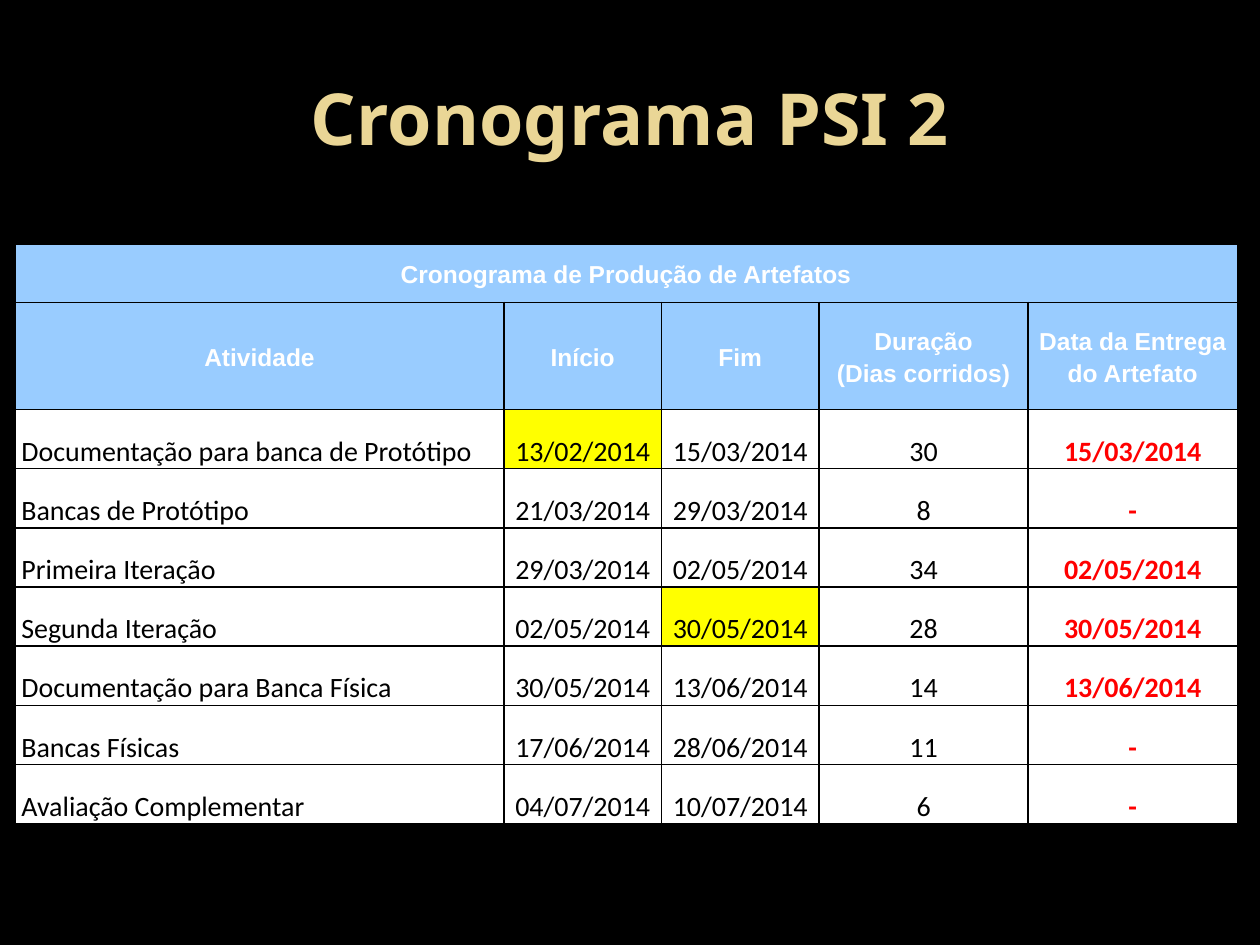
import dataclasses

import lxml.etree
import pptx
import pptx.dml.color
import pptx.enum.text
import pptx.oxml.ns
import pptx.util

ALIGN = pptx.enum.text.PP_ALIGN
ANCHOR = pptx.enum.text.MSO_ANCHOR


@dataclasses.dataclass(frozen=True)
class Text:
    font: str
    size: int
    color: str
    bold: bool = False


@dataclasses.dataclass(frozen=True)
class Theme:
    background: str = "000000"
    border: str = "000000"
    header_fill: str = "99CCFF"
    body_fill: str = "FFFFFF"
    highlight: str = "FFFF00"
    title: Text = Text("Noto Sans", 41, "EAD696", True)
    header: Text = Text("Arial", 14, "FFFFFF", True)
    body: Text = Text("Calibri", 16, "000000")
    delivery: Text = Text("Calibri", 16, "FF0000", True)


class Deck:
    """Builds slides in one theme, with boxes given as shares of the slide."""

    def __init__(self, theme, width, height):
        self.theme = theme
        self.prs = pptx.Presentation()
        self.prs.slide_width = pptx.util.Inches(width)
        self.prs.slide_height = pptx.util.Inches(height)

    def add_slide(self):
        self.slide = self.prs.slides.add_slide(self.prs.slide_layouts[6])
        self.fill(self.slide.background, self.theme.background)

    def box(self, x, y, w, h):
        width, height = self.prs.slide_width, self.prs.slide_height
        return [round(v) for v in (x * width, y * height, w * width, h * height)]

    def fill(self, target, color):
        target.fill.solid()
        target.fill.fore_color.rgb = pptx.dml.color.RGBColor.from_string(color)

    def set_text(self, tf, text, style, align=ALIGN.CENTER, spacing=1.0):
        tf.word_wrap = True
        p = tf.paragraphs[0]
        p.text = text
        p.alignment = align
        p.line_spacing = spacing
        p.font.name = style.font
        p.font.size = pptx.util.Pt(style.size)
        p.font.bold = style.bold
        p.font.color.rgb = pptx.dml.color.RGBColor.from_string(style.color)

    def title(self, text, x, y, w, h):
        tf = self.slide.shapes.add_textbox(*self.box(x, y, w, h)).text_frame
        tf.vertical_anchor = ANCHOR.MIDDLE
        self.set_text(tf, text, self.theme.title)

    def table(self, x, y, columns, rows):
        box = self.box(x, y, sum(columns), sum(rows))
        table = self.slide.shapes.add_table(len(rows), len(columns), *box).table
        table.first_row = table.horz_banding = False
        for column, share in zip(table.columns, columns):
            column.width = round(share * self.prs.slide_width)
        for row, share in zip(table.rows, rows):
            row.height = round(share * self.prs.slide_height)
        for cell in table.iter_cells():
            self.border(cell)
        return table

    def border(self, cell):
        qn = pptx.oxml.ns.qn
        tc_pr = cell._tc.get_or_add_tcPr()
        for side in ("a:lnL", "a:lnR", "a:lnT", "a:lnB"):
            ln = lxml.etree.SubElement(tc_pr, qn(side), w=str(pptx.util.Pt(1)))
            solid = lxml.etree.SubElement(ln, qn("a:solidFill"))
            lxml.etree.SubElement(solid, qn("a:srgbClr"), val=self.theme.border)

    def cell(self, cell, text, style, fill, align=ALIGN.CENTER, anchor=ANCHOR.BOTTOM):
        cell.margin_left = cell.margin_right = pptx.util.Inches(0.05)
        cell.margin_top = cell.margin_bottom = 0
        cell.vertical_anchor = anchor
        self.fill(cell, fill)
        self.set_text(cell.text_frame, text, style, align, 1.15)


HEADERS = ["Atividade", "Início", "Fim", "Duração\v(Dias corridos)",
           "Data da Entrega do Artefato"]
ACTIVITIES = [
    ("Documentação para banca de Protótipo", "13/02/2014", "15/03/2014", "30", "15/03/2014"),
    ("Bancas de Protótipo", "21/03/2014", "29/03/2014", "8", "-"),
    ("Primeira Iteração", "29/03/2014", "02/05/2014", "34", "02/05/2014"),
    ("Segunda Iteração", "02/05/2014", "30/05/2014", "28", "30/05/2014"),
    ("Documentação para Banca Física", "30/05/2014", "13/06/2014", "14", "13/06/2014"),
    ("Bancas Físicas", "17/06/2014", "28/06/2014", "11", "-"),
    ("Avaliação Complementar", "04/07/2014", "10/07/2014", "6", "-"),
]
HIGHLIGHTED = {(0, 1), (3, 2)}
COLUMNS = [v / 10 for v in (3.88, 1.25, 1.25, 1.66, 1.66)]
ROWS = [v / 7.5 for v in [0.46, 0.85] + [0.47] * len(ACTIVITIES)]

theme = Theme()
deck = Deck(theme, 10, 7.5)
deck.add_slide()
deck.title("Cronograma PSI 2", 0.05, 0.04, 0.9, 1 / 6)

table = deck.table(0.012, 1.94 / 7.5, COLUMNS, ROWS)
table.cell(0, 0).merge(table.cell(0, len(COLUMNS) - 1))
deck.cell(table.cell(0, 0), "Cronograma de Produção de Artefatos", theme.header,
          theme.header_fill, anchor=ANCHOR.MIDDLE)
for c, header in enumerate(HEADERS):
    deck.cell(table.cell(1, c), header, theme.header, theme.header_fill,
              anchor=ANCHOR.MIDDLE)
for r, activity in enumerate(ACTIVITIES):
    for c, text in enumerate(activity):
        style = theme.delivery if c == len(COLUMNS) - 1 else theme.body
        fill = theme.highlight if (r, c) in HIGHLIGHTED else theme.body_fill
        align = ALIGN.CENTER if c else ALIGN.LEFT
        deck.cell(table.cell(r + 2, c), text, style, fill, align)

deck.prs.save("out.pptx")
